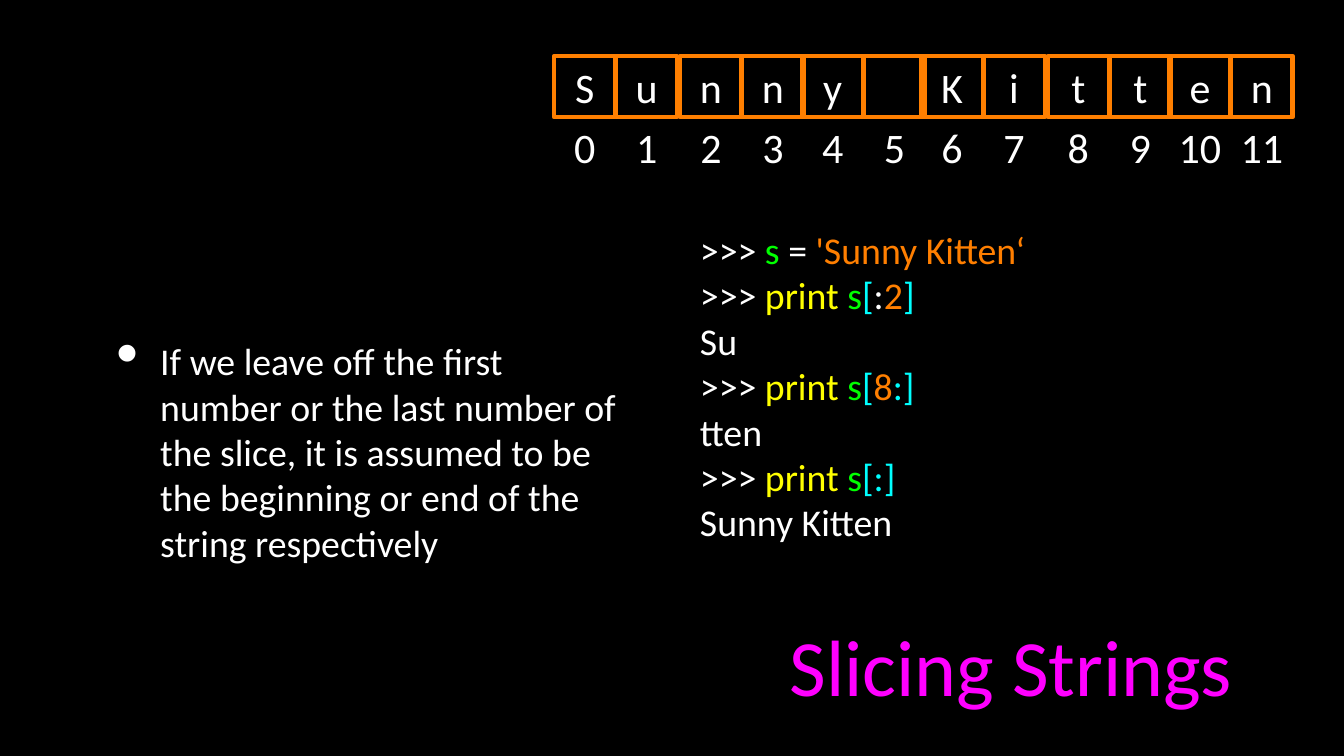
from collections import namedtuple

from lxml.etree import SubElement
from pptx import Presentation
from pptx.dml.color import RGBColor
from pptx.enum.shapes import MSO_SHAPE as Shape
from pptx.enum.text import MSO_ANCHOR as Anchor, MSO_AUTO_SIZE as AutoSize, PP_ALIGN as Align
from pptx.oxml.ns import qn
from pptx.util import Inches, Pt

COLORS = {
    "black": "000000", "white": "FFFFFF", "orange": "FF7F00", "green": "00FF00",
    "yellow": "FFFF00", "cyan": "00FFFF", "magenta": "FF00FF",
}
FONT = "Calibri"
COLUMNS, ROWS = 1778, 1000
GRID_STEP = Inches(0.01)
CELL = 81
GROUP_PITCH = 486
GROUP_OFFSETS = (0, 82, 167, 249, 328, 410)
WORD = "Sunny Kitten"
EXPLANATION = (
    "If we leave off the first number or the last number of the slice, "
    "it is assumed to be the beginning or end of the string respectively"
)
PROMPT = (">>> ", "white")
PRINT = (PROMPT, ("print ", "yellow"), ("s", "green"))
CODE_LINES = (
    (PROMPT, ("s", "green"), (" = ", "white"), (f"'{WORD}‘", "orange")),
    PRINT + (("[", "cyan"), (":", "white"), ("2", "orange"), ("]", "cyan")),
    ((WORD[:2], "white"),),
    PRINT + (("[", "cyan"), ("8", "orange"), (":]", "cyan")),
    ((WORD[8:], "white"),),
    PRINT + (("[:]", "cyan"),),
    ((WORD, "white"),),
)

Box = namedtuple("Box", "column row width height")


def color(name):
    """Return the named colour."""
    return RGBColor.from_string(COLORS[name])


def place(box):
    """Convert a grid box to slide lengths."""
    return [value * GRID_STEP for value in box]


def prepare_frame(shape, margin=0):
    """Centre the text vertically, wrap it and set equal margins."""
    frame = shape.text_frame
    frame.word_wrap = True
    frame.vertical_anchor = Anchor.MIDDLE
    frame.margin_left = frame.margin_right = Inches(margin)
    frame.margin_top = frame.margin_bottom = Inches(margin)
    return frame


def format_run(run, size, color_name):
    """Set the font of one run."""
    run.font.name = FONT
    run.font.size = Pt(size)
    run.font.color.rgb = color(color_name)


def write_line(shape, text, size, color_name, margin=0, align=Align.CENTER):
    """Fill a shape with one formatted paragraph and return it."""
    frame = prepare_frame(shape, margin)
    frame.text = text
    paragraph = frame.paragraphs[0]
    paragraph.alignment = align
    format_run(paragraph.runs[0], size, color_name)
    return paragraph


def add_bullet(paragraph, left, hanging, percent):
    """Give a paragraph a white hanging bullet."""
    properties = paragraph._p.get_or_add_pPr()
    properties.set("marL", str(Inches(left)))
    properties.set("indent", str(-Inches(hanging)))
    bullet_color = SubElement(properties, qn("a:buClr"))
    SubElement(bullet_color, qn("a:srgbClr"), val=COLORS["white"])
    SubElement(properties, qn("a:buSzPct"), val=str(percent * 1000))
    SubElement(properties, qn("a:buChar"), char="•")


def add_explanation(slide, box):
    """Add the bulleted explanation."""
    shape = slide.shapes.add_textbox(*place(box))
    paragraph = write_line(shape, EXPLANATION, 36, "white", 0.04, Align.LEFT)
    add_bullet(paragraph, 0.82, 0.58, 171)


def add_title(slide, box):
    """Add the slide title."""
    shape = slide.shapes.add_textbox(*place(box))
    write_line(shape, "Slicing Strings", 76, "magenta", 0.04)


def add_code(slide, box):
    """Add the coloured interpreter session."""
    frame = prepare_frame(slide.shapes.add_textbox(*place(box)))
    frame.word_wrap = False
    frame.auto_size = AutoSize.SHAPE_TO_FIT_TEXT
    for number, line in enumerate(CODE_LINES):
        paragraph = frame.add_paragraph() if number else frame.paragraphs[0]
        for text, color_name in line:
            run = paragraph.add_run()
            run.text = text
            format_run(run, 36, color_name)


def add_index_strip(slide, box):
    """Add the letter cells with their indexes below."""
    row_height = box.height // 2
    for index, letter in enumerate(WORD):
        group, position = divmod(index, len(GROUP_OFFSETS))
        column = box.column + group * GROUP_PITCH + GROUP_OFFSETS[position]
        label_box = Box(column, box.row + row_height - 1, CELL, CELL)
        label = slide.shapes.add_textbox(*place(label_box))
        write_line(label, str(index), 40, "white")
        cell_box = Box(column, box.row, CELL, CELL)
        cell = slide.shapes.add_shape(Shape.RECTANGLE, *place(cell_box))
        cell.shadow.inherit = False
        cell.fill.background()
        cell.line.color.rgb = color("orange")
        cell.line.width = Pt(4)
        if letter.strip():
            write_line(cell, letter, 40, "white")


def main():
    """Build and save the slide."""
    presentation = Presentation()
    presentation.slide_width = COLUMNS * GRID_STEP
    presentation.slide_height = ROWS * GRID_STEP
    slide = presentation.slides.add_slide(presentation.slide_layouts[6])
    slide.background.fill.solid()
    slide.background.fill.fore_color.rgb = color("black")
    add_explanation(slide, Box(126, 285, 704, 624))
    add_title(slide, Box(972, 774, 731, 210))
    add_code(slide, Box(926, 300, 526, 420))
    add_index_strip(slide, Box(733, 74, 977, 2 * CELL))
    presentation.save("out.pptx")


if __name__ == "__main__":
    main()
